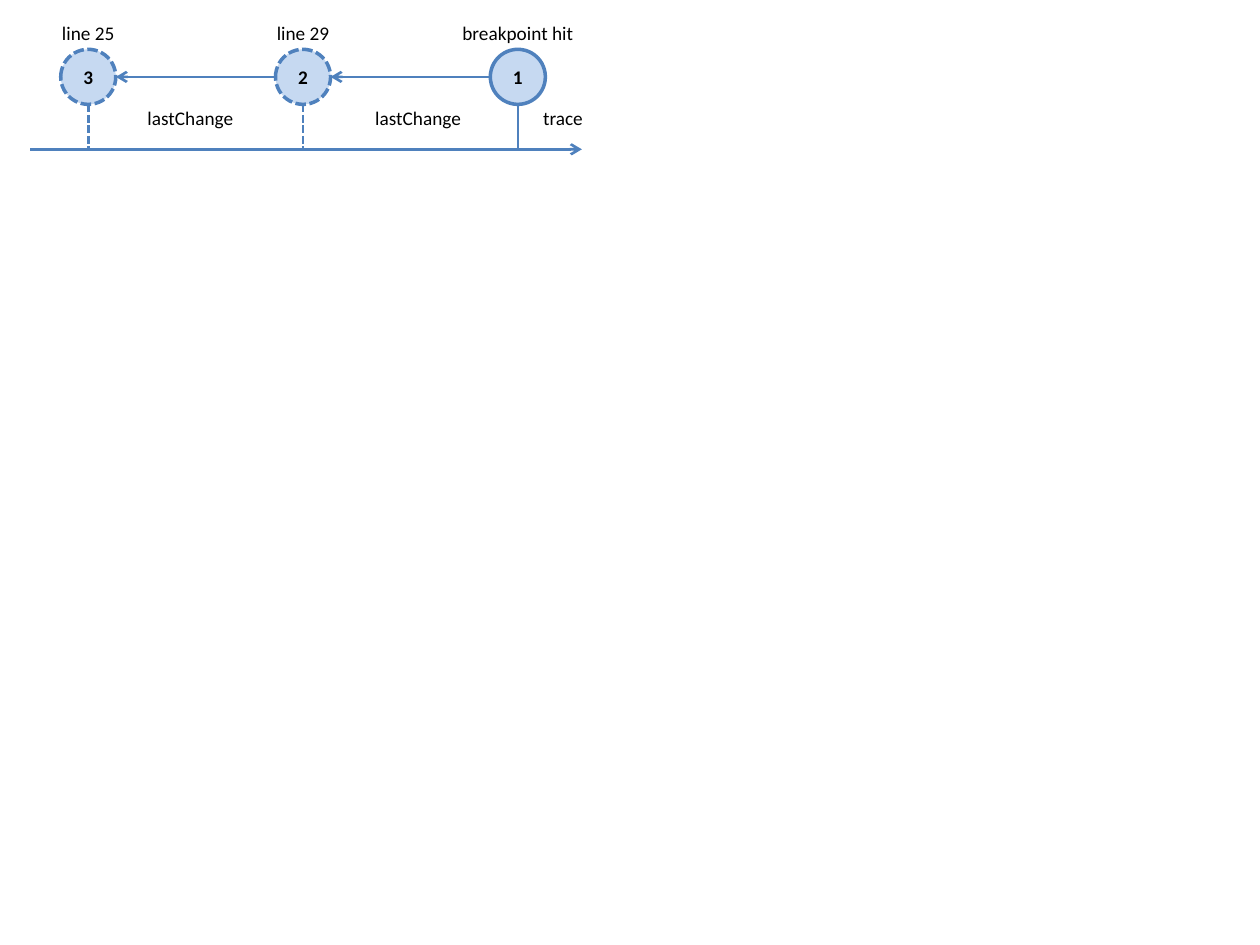
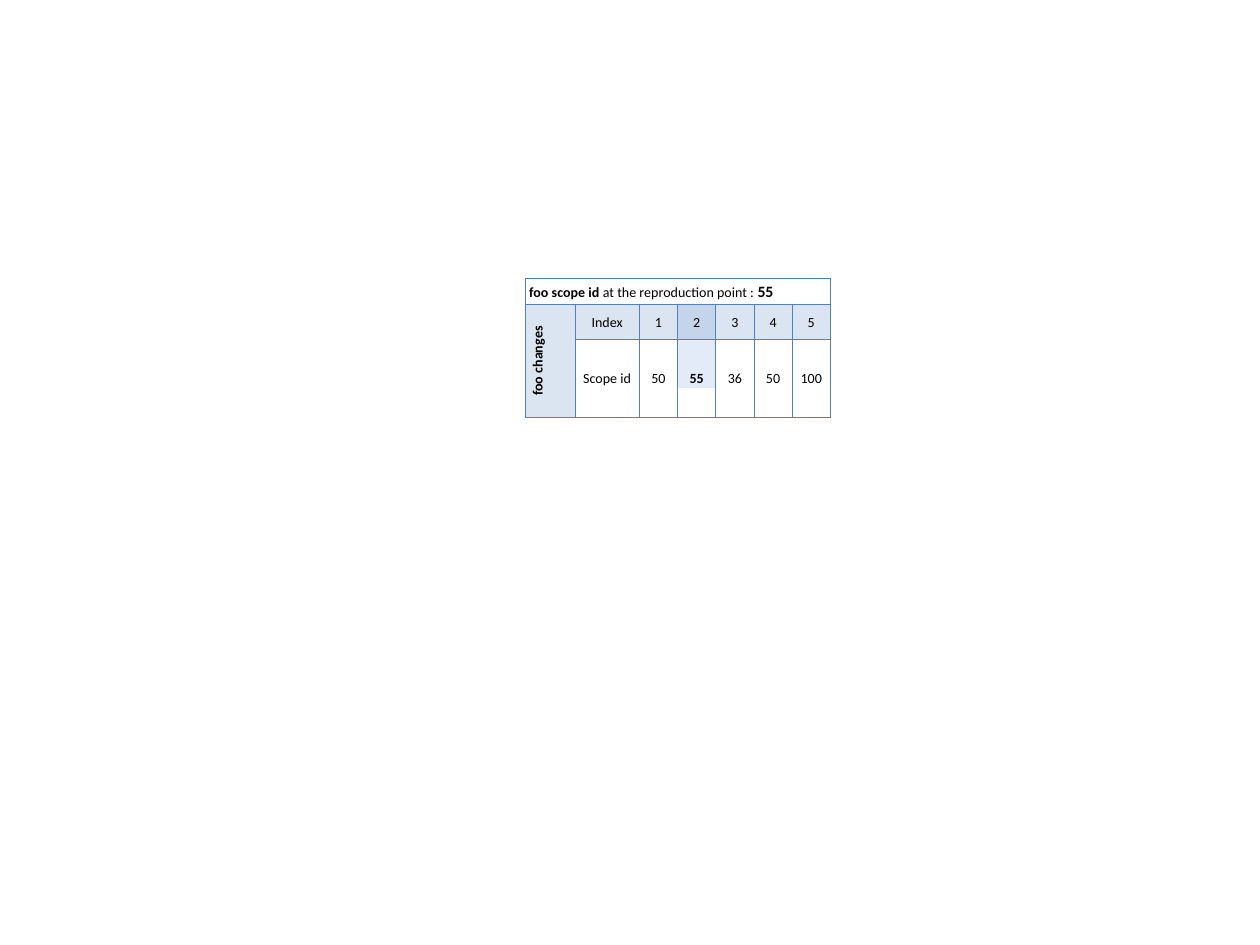
from lxml import etree
from pptx import Presentation
from pptx.dml.color import RGBColor
from pptx.enum.dml import MSO_LINE
from pptx.enum.shapes import MSO_CONNECTOR, MSO_SHAPE
from pptx.enum.text import MSO_ANCHOR, MSO_AUTO_SIZE, PP_ALIGN
from pptx.oxml.ns import qn
from pptx.util import Cm, Pt

BLUE = RGBColor(0x4F, 0x81, 0xBD)
PALE = RGBColor(0xC6, 0xD9, 0xF1)
BLACK = RGBColor(0x00, 0x00, 0x00)
FONT = "Calibri"
DASH = MSO_LINE.SQUARE_DOT
STRAIGHT = MSO_CONNECTOR.STRAIGHT
OVAL, RECT = MSO_SHAPE.OVAL, MSO_SHAPE.RECTANGLE
LEFT, CENTER = PP_ALIGN.LEFT, PP_ALIGN.CENTER
TOP, MIDDLE = MSO_ANCHOR.TOP, MSO_ANCHOR.MIDDLE
GROW = MSO_AUTO_SIZE.SHAPE_TO_FIT_TEXT
TIGHT = Cm(0.08)


def write(tf, *texts, size=11, bold=False, align=CENTER):
    """Fill a text frame with runs, each a string or (string, format) pair."""
    p = tf.paragraphs[0]
    p.alignment = align
    for text in texts:
        text, style = (text, {}) if isinstance(text, str) else text
        r = p.add_run()
        r.text = text
        r.font.name = FONT
        r.font.size = Pt(style.get("size", size))
        r.font.bold = style.get("bold", bold)
        r.font.color.rgb = BLACK


def set_margins(box):
    """Give a text frame or a table cell narrow margins."""
    box.margin_left = box.margin_right = TIGHT
    box.margin_top = box.margin_bottom = TIGHT


def paint(fill, props, color, opacity=100):
    """Set a solid fill, or none, with an opacity in percent."""
    if color is None:
        fill.background()
        return
    fill.solid()
    fill.fore_color.rgb = color
    if opacity < 100:
        clr = props.find(qn("a:solidFill"))[0]
        etree.SubElement(clr, qn("a:alpha"), val=str(opacity * 1000))


class Sketch:
    """Diagram style together with the slide being drawn."""

    def __init__(self, prs):
        self.prs = prs
        self.slide = None

    def new_slide(self):
        """Start a blank slide."""
        self.slide = self.prs.slides.add_slide(self.prs.slide_layouts[6])

    def shape(self, kind, x, y, w, h, fill=None, opacity=100, line=None, dash=None):
        """Add a preset shape."""
        sp = self.slide.shapes.add_shape(kind, Cm(x), Cm(y), Cm(w), Cm(h))
        sp.shadow.inherit = False
        paint(sp.fill, sp._element.spPr, fill, opacity)
        if line is None:
            sp.line.fill.background()
        else:
            self.stroke(sp.line, line, dash)
        return sp

    def stroke(self, line, width, dash=None):
        """Style an outline or a connector."""
        line.color.rgb = BLUE
        line.width = Pt(width)
        if dash is not None:
            line.dash_style = dash

    def line(self, x1, y1, x2, y2, dash=None, arrow=False):
        """Add a straight line, with an arrowhead at its end if asked."""
        cx = self.slide.shapes.add_connector(STRAIGHT, Cm(x1), Cm(y1), Cm(x2), Cm(y2))
        self.stroke(cx.line, 1.5, dash)
        props = cx._element.spPr
        if arrow:
            etree.SubElement(props.find(qn("a:ln")), qn("a:tailEnd"), type="arrow")
        etree.SubElement(props, qn("a:effectLst"))

    def label(self, text, center, y, w):
        """Add a text box centred on a given x."""
        sp = self.slide.shapes.add_textbox(Cm(center - w / 2), Cm(y), Cm(w), Cm(0.74))
        tf = sp.text_frame
        tf.word_wrap = True
        tf.auto_size = GROW
        write(tf, text)

    def cell(self, cell, text, bold=False, shaded=False):
        """Fill and frame one table cell."""
        set_margins(cell)
        cell.vertical_anchor = MIDDLE
        write(cell.text_frame, text, size=8, bold=bold)
        props = cell._tc.get_or_add_tcPr()
        for side in ("lnL", "lnR", "lnT", "lnB"):
            ln = etree.SubElement(props, qn(f"a:{side}"), w=str(Pt(0.5)))
            solid = etree.SubElement(ln, qn("a:solidFill"))
            etree.SubElement(solid, qn("a:srgbClr"), val=str(BLUE))
        paint(cell.fill, props, BLUE if shaded else None, 20)

    def table(self, x, y, widths, heights, side_title, rows, bold_cells):
        """Add a table with a vertical title cell and a shaded first row."""
        shape = self.slide.shapes.add_table(
            len(heights), len(widths), Cm(x), Cm(y), Cm(sum(widths)), Cm(sum(heights)))
        tbl = shape.table
        tbl.first_row = tbl.horz_banding = False
        for col, width in zip(tbl.columns, widths):
            col.width = Cm(width)
        for row, height in zip(tbl.rows, heights):
            row.height = Cm(height)
        title = tbl.cell(0, 0)
        title.merge(tbl.cell(len(heights) - 1, 0))
        self.cell(title, side_title, bold=True, shaded=True)
        title._tc.get_or_add_tcPr().set("vert", "vert270")
        for i, row in enumerate(rows):
            for j, text in enumerate(row, start=1):
                self.cell(tbl.cell(i, j), text, (i, j) in bold_cells, shaded=i == 0)


def draw_trace(s):
    """Draw the trace timeline with its three stops."""
    s.new_slide()
    diameter, center_y, axis_y = 1.11, 1.55, 3.01
    radius = diameter / 2
    first, pitch = 1.78, 4.33
    stops = [
        ("3", "line 25", 3.33, DASH),
        ("2", "line 29", 3.33, DASH),
        ("1", "breakpoint hit", 5.26, None),
    ]
    s.line(0.61, axis_y, 11.73, axis_y, arrow=True)
    for i, (number, caption, width, dash) in enumerate(stops):
        x = first + i * pitch
        s.line(x, center_y + radius, x, axis_y, dash)
        sp = s.shape(OVAL, x - radius, center_y - radius, diameter, diameter,
                     fill=PALE, line=2, dash=dash)
        sp.text_frame.vertical_anchor = MIDDLE
        write(sp.text_frame, number, bold=True)
        s.label(caption, x, 0.3, width)
        if i:
            s.line(x - radius, center_y, x - pitch + radius, center_y, arrow=True)
    for x in (3.84, 8.43):
        s.label("lastChange", x, 2.01, 4.01)
    s.label("trace", 11.35, 2.01, 2.13)


def draw_scope_table(s):
    """Draw the table of foo changes under its caption."""
    s.new_slide()
    x, y = 10.59, 6.14
    widths = [1.0, 1.3] + [0.77] * 5
    s.shape(RECT, x + sum(widths[:3]), y - 0.02, widths[3], 1.7, fill=PALE, opacity=50)
    rows = [
        ("Index", "1", "2", "3", "4", "5"),
        ("Scope id", "50", "55", "36", "50", "100"),
    ]
    s.table(x, y, widths, [0.71, 0.99], "foo changes", rows, bold_cells={(1, 3)})
    sp = s.shape(RECT, x, 5.6, sum(widths), 0.53, line=0.25)
    tf = sp.text_frame
    tf.word_wrap = True
    tf.auto_size = GROW
    tf.vertical_anchor = TOP
    set_margins(tf)
    write(tf, ("foo scope id ", {"bold": True}), "at the reproduction point : ",
          ("55", {"size": 9, "bold": True}), size=8, align=LEFT)


def main():
    """Build both slides and save them."""
    prs = Presentation()
    prs.slide_width, prs.slide_height = Cm(25.4), Cm(19.05)
    s = Sketch(prs)
    draw_trace(s)
    draw_scope_table(s)
    prs.save("out.pptx")


if __name__ == "__main__":
    main()
